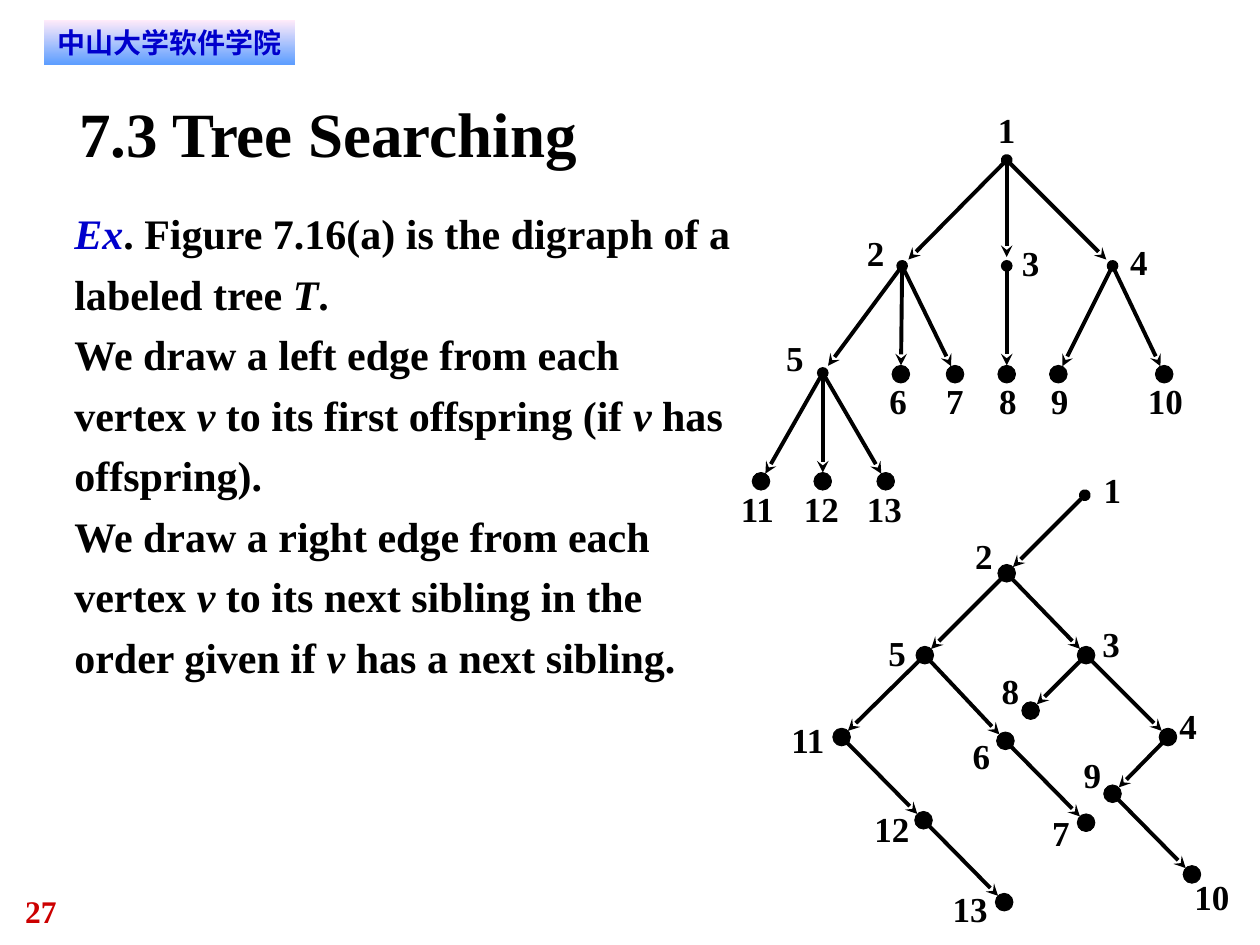
import math
from dataclasses import dataclass

from lxml import etree
from pptx import Presentation
from pptx.dml.color import RGBColor
from pptx.enum import shapes, text
from pptx.oxml.ns import qn
from pptx.util import Inches, Pt


@dataclass(frozen=True)
class Theme:
    black: str = "000000"
    blue: str = "0000CC"
    red: str = "CC0000"
    tag_top: str = "FFEBFA"
    tag_bottom: str = "5E9EFF"
    serif: str = "Times New Roman"
    sans: str = "DejaVu Sans"
    title: int = 36
    body: int = 24
    label: int = 20
    number: int = 18
    tag: int = 16
    edge: float = 2.25
    outline: float = 0.5


T = Theme()
DOT = 0.14      # vertex diameter
GAP = 0.07      # arrow tip to vertex centre
DIGIT = 0.14    # label width per digit

# vertex: (centre x, centre y, label left, label top), from the tree's corner
DIGRAPH = {
    1: (2.11, 0.41, 2.04, 0), 2: (1.28, 1.25, 1, 0.98),
    3: (2.11, 1.25, 2.23, 1.06), 4: (2.95, 1.25, 3.09, 1.05),
    5: (0.65, 2.1, 0.36, 1.81), 6: (1.27, 2.11, 1.18, 2.15),
    7: (1.7, 2.11, 1.63, 2.15), 8: (2.11, 2.11, 2.05, 2.15),
    9: (2.52, 2.11, 2.46, 2.15), 10: (3.36, 2.11, 3.23, 2.15),
    11: (0.16, 2.96, 0, 3.01), 12: (0.65, 2.96, 0.5, 3.01),
    13: (1.15, 2.96, 1, 3.01),
}
DIGRAPH_EDGES = {1: (2, 3, 4), 2: (5, 6, 7), 3: (8,), 4: (10, 9), 5: (11, 12, 13)}
BINARY = {
    1: (2.33, 0.21, 2.48, 0), 2: (1.71, 0.83, 1.46, 0.52),
    3: (2.34, 1.48, 2.47, 1.22), 4: (2.99, 2.13, 3.08, 1.87),
    5: (1.06, 1.48, 0.77, 1.29), 6: (1.7, 2.16, 1.44, 2.11),
    7: (2.34, 2.81, 2.07, 2.72), 8: (1.9, 1.92, 1.67, 1.59),
    9: (2.55, 2.58, 2.32, 2.26), 10: (3.18, 3.22, 3.2, 3.23),
    11: (0.4, 2.13, 0, 1.98), 12: (1.05, 2.79, 0.66, 2.69),
    13: (1.69, 3.44, 1.28, 3.32),
}
BINARY_EDGES = {1: (2,), 2: (5, 3), 5: (11, 6), 11: (12,), 12: (13,),
                6: (7,), 3: (8, 4), 4: (9,), 9: (10,)}

# Runs alternate between upright and italic, starting upright
RULES = [
    ["", "Ex", ". Figure 7.16(a) is the digraph of a labeled tree ", "T", "."],
    ["We draw a left edge from each vertex ", "v",
     " to its first offspring (if ", "v", " has offspring)."],
    ["We draw a right edge from each vertex ", "v",
     " to its next sibling in the order given if ", "v", " has a next sibling."],
]


def rgb(color):
    return RGBColor.from_string(color)


def inches(*values):
    return [Inches(v) for v in values]


def set_frame(tf, wrap=True, anchor=text.MSO_ANCHOR.TOP, margins=(0, 0)):
    side, edge = inches(*margins)
    values = dict(word_wrap=wrap, vertical_anchor=anchor, auto_size=text.MSO_AUTO_SIZE.NONE,
                  margin_left=side, margin_right=side, margin_top=edge, margin_bottom=edge)
    for name, value in values.items():
        setattr(tf, name, value)


def add_run(p, words, size, color=T.black, face=T.serif, italic=False):
    r = p.add_run()
    r.text = words
    values = dict(name=face, size=Pt(size), bold=True, italic=italic)
    for name, value in values.items():
        setattr(r.font, name, value)
    r.font.color.rgb = rgb(color)
    etree.SubElement(r.font._element, qn("a:ea"), typeface=face)


def add_text(parent, box, words, size, color=T.black, wrap=True):
    tf = parent.add_textbox(*inches(*box)).text_frame
    set_frame(tf, wrap)
    add_run(tf.paragraphs[0], words, size, color)


def add_tag(slide, box):
    sp = slide.shapes.add_shape(shapes.MSO_SHAPE.RECTANGLE, *inches(*box))
    sp.shadow.inherit = False
    sp.line.fill.background()
    sp.fill.gradient()
    sp.fill.gradient_angle = 270
    for stop, color in zip(sp.fill.gradient_stops, (T.tag_top, T.tag_bottom)):
        stop.color.rgb = rgb(color)
    set_frame(sp.text_frame, anchor=text.MSO_ANCHOR.MIDDLE, margins=(0.08, 0.04))
    p = sp.text_frame.paragraphs[0]
    p.alignment = text.PP_ALIGN.CENTER
    add_run(p, "中山大学软件学院", T.tag, T.blue, T.sans)


def add_title(slide, box):
    sp = slide.shapes.title
    sp.left, sp.top, sp.width, sp.height = inches(*box)
    set_frame(sp.text_frame, anchor=text.MSO_ANCHOR.MIDDLE)
    p = sp.text_frame.paragraphs[0]
    p.alignment = text.PP_ALIGN.LEFT
    add_run(p, "7.3 Tree Searching", T.title)


def add_body(slide, box):
    tf = slide.shapes.add_textbox(*inches(*box)).text_frame
    set_frame(tf)
    for i, runs in enumerate(RULES):
        p = tf.add_paragraph() if i else tf.paragraphs[0]
        p.line_spacing = 1.2
        for j, words in enumerate(runs):
            if words:
                color = T.blue if words == "Ex" else T.black
                add_run(p, words, T.body, color, italic=j % 2 == 1)


def add_edge(parent, start, end, oval):
    """Draw an arrow that stops just short of the child's centre."""
    (x1, y1), (x2, y2) = start, end
    keep = 1 - GAP / math.dist(start, end)
    tip = x1 + (x2 - x1) * keep, y1 + (y2 - y1) * keep
    c = parent.add_connector(shapes.MSO_CONNECTOR.STRAIGHT, *inches(*start, *tip))
    c.line.color.rgb = rgb(T.black)
    c.line.width = Pt(T.edge)
    ln = c.line._get_or_add_ln()
    if oval:
        etree.SubElement(ln, qn("a:headEnd"), type="oval")
    etree.SubElement(ln, qn("a:tailEnd"), type="stealth")
    etree.SubElement(c._element.spPr, qn("a:effectLst"))


def add_dot(parent, x, y):
    sp = parent.add_shape(shapes.MSO_SHAPE.OVAL,
                          *inches(x - DOT / 2, y - DOT / 2, DOT, DOT))
    sp.shadow.inherit = False
    sp.fill.solid()
    sp.fill.fore_color.rgb = sp.line.color.rgb = rgb(T.black)
    sp.line.width = Pt(T.outline)


def add_tree(slide, left, top, vertices, edges, oval_parents):
    """Draw a tree; the vertices in oval_parents are the oval ends of their first edge."""
    parent = slide.shapes.add_group_shape().shapes
    centre = {n: (left + v[0], top + v[1]) for n, v in vertices.items()}
    for n, children in edges.items():
        for i, child in enumerate(children):
            add_edge(parent, centre[n], centre[child], n in oval_parents and i == 0)
    for n, (_, _, x, y) in vertices.items():
        if n not in oval_parents:
            add_dot(parent, *centre[n])
        add_text(parent, (left + x, top + y, DIGIT * len(str(n)), 0.33),
                 str(n), T.label, wrap=False)


def main():
    prs = Presentation()
    prs.slide_width, prs.slide_height = inches(10, 7.5)
    slide = prs.slides.add_slide(prs.slide_layouts[5])
    add_text(slide.shapes, (0.2, 7.08, 0.75, 0.3), "27", T.number, T.red)
    add_tag(slide, (0.35, 0.16, 1.99, 0.35))
    add_title(slide, (0.63, 0.75, 8.75, 0.6))
    add_body(slide, (0.59, 1.57, 5.25, 3.84))
    add_tree(slide, 5.88, 0.86, DIGRAPH, DIGRAPH_EDGES, set(DIGRAPH_EDGES))
    add_tree(slide, 6.28, 3.72, BINARY, BINARY_EDGES, {1})
    prs.save("out.pptx")


if __name__ == "__main__":
    main()
